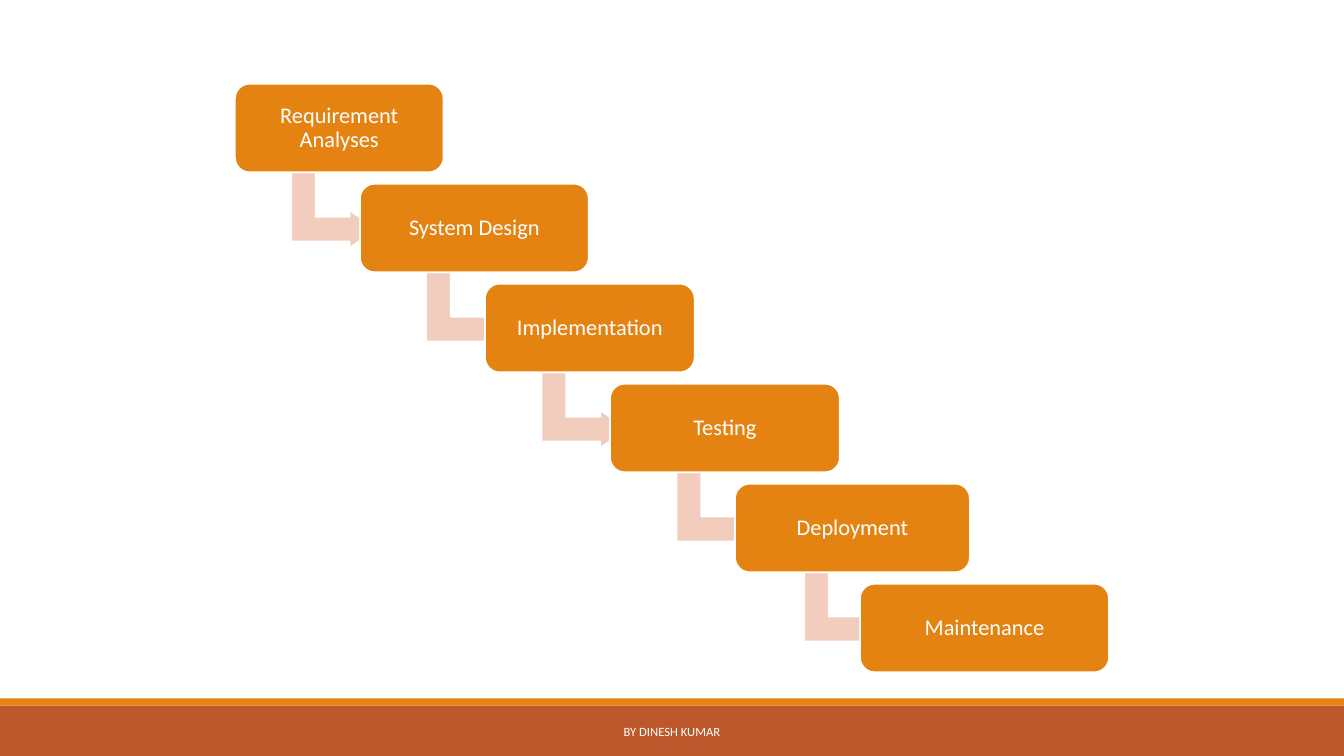
from dataclasses import dataclass

from pptx import Presentation
from pptx.dml.color import RGBColor
from pptx.enum.shapes import MSO_SHAPE as Preset
from pptx.enum.text import MSO_ANCHOR as Anchor, PP_ALIGN as Align
from pptx.util import Inches, Pt


@dataclass(frozen=True)
class Theme:
    orange: RGBColor = RGBColor.from_string("E48312")
    rust: RGBColor = RGBColor.from_string("BD582C")
    peach: RGBColor = RGBColor.from_string("F2CDBD")
    white: RGBColor = RGBColor.from_string("FFFFFF")
    font: str = "Calibri"
    phase_size: int = 16
    footer_size: int = 9
    outline: float = 1.25


THEME = Theme()
PAGE_WIDTH, PAGE_HEIGHT = 13.33, 7.5
PHASES = [
    ("Requirement Analyses", 2.07),
    ("System Design", 2.27),
    ("Implementation", 2.08),
    ("Testing", 2.28),
    ("Deployment", 2.33),
    ("Maintenance", 2.47),
]


def add_block(page, preset, box, fill, outlined=False):
    block = page.shapes.add_shape(preset, *map(Inches, box))
    block.shadow.inherit = False
    block.fill.solid()
    block.fill.fore_color.rgb = fill
    if outlined:
        block.line.color.rgb = THEME.white
        block.line.width = Pt(THEME.outline)
    else:
        block.line.fill.background()
    return block


def write_centred(frame, text, size):
    frame.word_wrap = True
    frame.vertical_anchor = Anchor.MIDDLE
    para = frame.paragraphs[0]
    para.alignment = Align.CENTER
    span = para.add_run()
    span.text = text
    span.font.name = THEME.font
    span.font.size = Pt(size)
    span.font.color.rgb = THEME.white
    return para


def add_phase(page, box, label):
    block = add_block(page, Preset.ROUNDED_RECTANGLE, box, THEME.orange, True)
    block.adjustments[0] = 0.167
    frame = block.text_frame
    frame.margin_left = frame.margin_right = Inches(0.07)
    frame.margin_top = frame.margin_bottom = Inches(0.07)
    para = write_centred(frame, label, THEME.phase_size)
    para.line_spacing = 0.9


def add_bent_arrow(page, phase_box):
    """Place the arrow that leads down and right from a phase."""
    left, top, width, _ = phase_box
    box = (left + width / 2 - 0.43, top + 0.83, 0.75, 0.85)
    arrow = add_block(page, Preset.BENT_UP_ARROW, box, THEME.peach, True)
    arrow.rotation = 90
    for index, value in enumerate((0.328, 0.25, 0.358)):
        arrow.adjustments[index] = value


def add_waterfall(page, box):
    """Step the phases evenly from the top left to the bottom right of the box."""
    left, top, width, height = box
    phase_height = 0.88
    gaps = len(PHASES) - 1
    step_x = (width - PHASES[-1][1]) / gaps
    step_y = (height - phase_height) / gaps
    for index, (label, phase_width) in enumerate(PHASES):
        phase_box = (left + index * step_x, top + index * step_y,
                     phase_width, phase_height)
        if index < gaps:
            add_bent_arrow(page, phase_box)
        add_phase(page, phase_box, label)


def add_footer(page, box, text):
    left, top, width, height = box
    stripe = 0.07
    add_block(page, Preset.RECTANGLE, box, THEME.rust)
    add_block(page, Preset.RECTANGLE, (left, top - stripe, width, stripe),
              THEME.orange)
    text_width = 5.27
    text_left = left + (width - text_width) / 2
    credit = page.shapes.add_textbox(
        *map(Inches, (text_left, top + 0.06, text_width, height - 0.1)))
    write_centred(credit.text_frame, text, THEME.footer_size)


def main():
    deck = Presentation()
    deck.slide_width = Inches(PAGE_WIDTH)
    deck.slide_height = Inches(PAGE_HEIGHT)
    page = deck.slides.add_slide(deck.slide_layouts[6])
    add_footer(page, (0, 7, PAGE_WIDTH, 0.5), "BY DINESH KUMAR")
    add_waterfall(page, (2.33, 0.83, 8.67, 5.84))
    deck.save("out.pptx")


if __name__ == "__main__":
    main()
